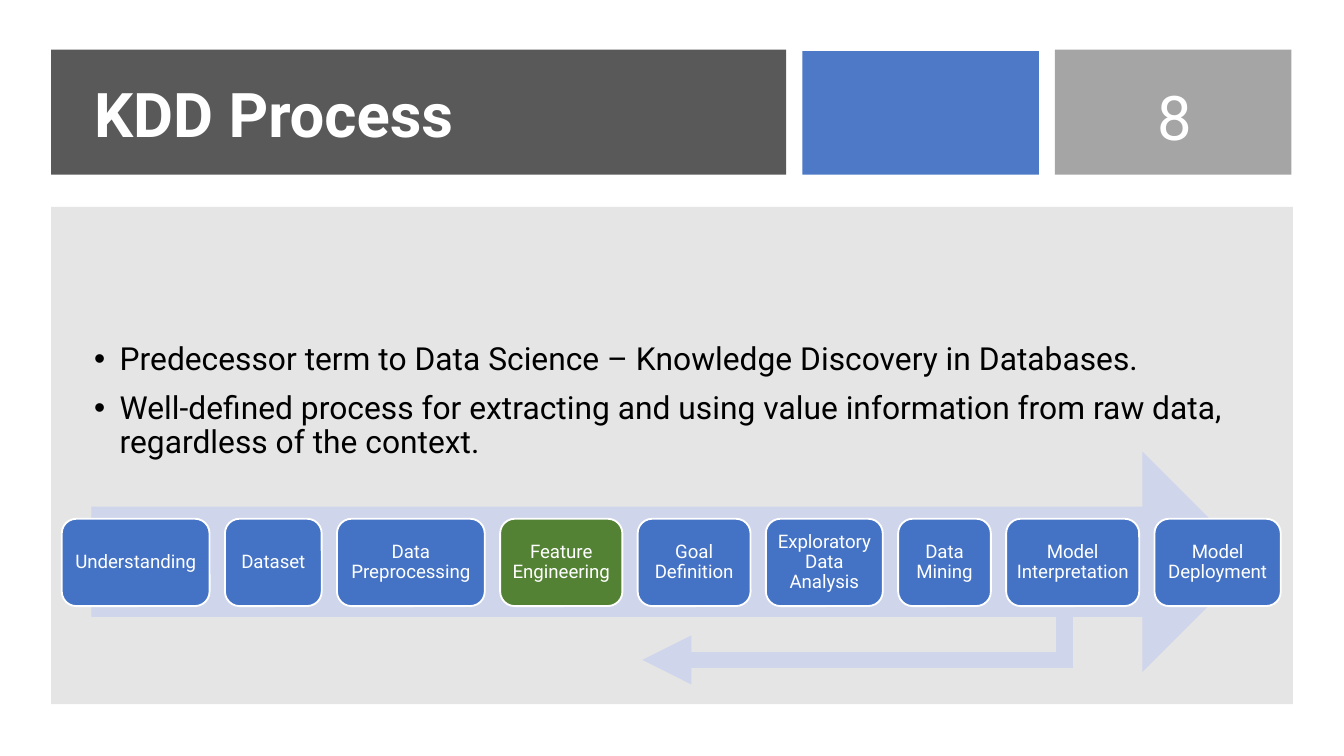
from lxml import etree
from pptx import Presentation
from pptx.dml.color import RGBColor
from pptx.enum.shapes import MSO_CONNECTOR, MSO_SHAPE
from pptx.enum.text import MSO_ANCHOR, MSO_AUTO_SIZE, PP_ALIGN
from pptx.oxml.ns import qn
from pptx.util import Inches, Pt

RECT, ROUND, ARROW = MSO_SHAPE.RECTANGLE, MSO_SHAPE.ROUNDED_RECTANGLE, MSO_SHAPE.RIGHT_ARROW
ELBOW = MSO_CONNECTOR.ELBOW
MIDDLE = MSO_ANCHOR.MIDDLE
LEFT, CENTER = PP_ALIGN.LEFT, PP_ALIGN.CENTER
NO_FIT = MSO_AUTO_SIZE.NONE

WHITE = RGBColor(0xFF, 0xFF, 0xFF)
BLACK = RGBColor(0, 0, 0)
DARK = RGBColor(0x59, 0x59, 0x59)
MID = RGBColor(0x80, 0x80, 0x80)
GREY = RGBColor(0xA5, 0xA5, 0xA5)
LIGHT = RGBColor(0xE5, 0xE5, 0xE5)
BLUE = RGBColor(0x44, 0x72, 0xC4)
PALE = RGBColor(0xCF, 0xD5, 0xEA)
GREEN = RGBColor(0x54, 0x82, 0x35)

# A 16:9 slide, ten inches wide
prs = Presentation()
prs.slide_width, prs.slide_height = Inches(10), Inches(10 * 9 / 16)
slide = prs.slides.add_slide(prs.slide_layouts[1])
shapes = slide.shapes
title, body = shapes.title, slide.placeholders[1]


def block(kind, x, y, w, h, color, alpha=100):
    shape = shapes.add_shape(kind, Inches(x), Inches(y), Inches(w), Inches(h))
    shape.shadow.inherit = False
    shape.fill.solid()
    shape.fill.fore_color.rgb = color
    shape.line.fill.background()
    if alpha < 100:
        tint = shape.fill._xPr.find(".//" + qn("a:srgbClr"))
        etree.SubElement(tint, qn("a:alpha")).set("val", str(alpha * 1000))
    return shape


def write(shape, lines, size, color, align, spacing=0.9):
    frame = shape.text_frame
    frame.text = "\n".join(lines)
    frame.word_wrap = True
    frame.auto_size = NO_FIT
    frame.vertical_anchor = MIDDLE
    for par in frame.paragraphs:
        par.alignment = align
        par.line_spacing = spacing
        par.font.name = "Roboto"
        par.font.size = Pt(size)
        par.font.color.rgb = color
    return frame


# Header band and content panel
edge, full = 0.38, 9.24
block(RECT, edge, 0.37, 5.47, 1.54, DARK)
block(RECT, 5.97, 0.38, 1.76, 1.53, BLUE, 95)
block(RECT, 7.85, 0.37, 1.76, 1.54, GREY)
block(RECT, edge, 2.03, full, 3.21, MID, 20)
block(RECT, edge, 1.3, full, 0.7, WHITE)
block(RECT, edge, 1.54, full, 0.49, LIGHT)

# Title and page number
shapes._spTree.append(title._element)
title.left, title.top, title.width, title.height = map(Inches, (0.6, 0.29, 5, 1.17))
write(title, ["KDD Process"], 33, WHITE, LEFT).paragraphs[0].font.bold = True
page = shapes.add_textbox(*map(Inches, (8.14, 0.36, 1.2, 1.01)))
write(page, ["8"], 33, WHITE, CENTER, 1).paragraphs[0].space_after = Pt(6)

# Bullet list
shapes._spTree.append(body._element)
body.left, body.top, body.width, body.height = map(Inches, (0.6, 1.95, 8.69, 2.08))
points = [
    "Predecessor term to Data Science – Knowledge Discovery in Databases.",
    "Well-defined process for extracting and using value information from raw data, "
    "regardless of the context.",
]
for par in write(body, points, 17, BLACK, LEFT).paragraphs:
    par.space_before = Pt(7.5)
    props = par._p.get_or_add_pPr()
    props.set("marL", str(Inches(0.19)))
    props.set("indent", str(-Inches(0.19)))
    etree.SubElement(props, qn("a:buFont")).set("typeface", "Arial")
    etree.SubElement(props, qn("a:buChar")).set("char", "•")
    props.append(props.find(qn("a:defRPr")))

# Feedback arrow: turns down at once, then runs left
back = shapes.add_connector(ELBOW, *map(Inches, (7.93, 4.49, 4.78, 4.91)))
back.line.color.rgb = PALE
back.line.width = Pt(8.75)
stroke = back.line._get_or_add_ln()
etree.SubElement(stroke, qn("a:miter")).set("lim", "800000")
etree.SubElement(stroke, qn("a:tailEnd")).set("type", "triangle")
etree.SubElement(back._element.spPr, qn("a:effectLst"))
guide = etree.SubElement(back._element.spPr.prstGeom.get_or_add_avLst(), qn("a:gd"))
guide.set("name", "adj1")
guide.set("fmla", "val 300")

# Process steps, spread with equal gaps over the big arrow
block(ARROW, 0.68, 3.36, 8.64, 1.64, PALE)
steps = [
    ("Understanding", 1.1), ("Dataset", 0.72), ("Data Preprocessing", 1.1),
    ("Feature Engineering", 0.91), ("Goal Definition", 0.84),
    ("Exploratory Data Analysis", 0.87), ("Data Mining", 0.69),
    ("Model Interpretation", 0.99), ("Model Deployment", 0.94),
]
x, end = 0.46, 9.53
gap = (end - x - sum(w for _, w in steps)) / (len(steps) - 1)
for name, w in steps:
    step = block(ROUND, x, 3.86, w, 0.65, GREEN if name.startswith("Feature") else BLUE)
    step.line.color.rgb = WHITE
    step.line.width = Pt(1)
    frame = write(step, [name], 10, WHITE, CENTER)
    frame.margin_left = frame.margin_right = Inches(0.04)
    frame.margin_top = frame.margin_bottom = Inches(0.04)
    x += w + gap

prs.save("out.pptx")
